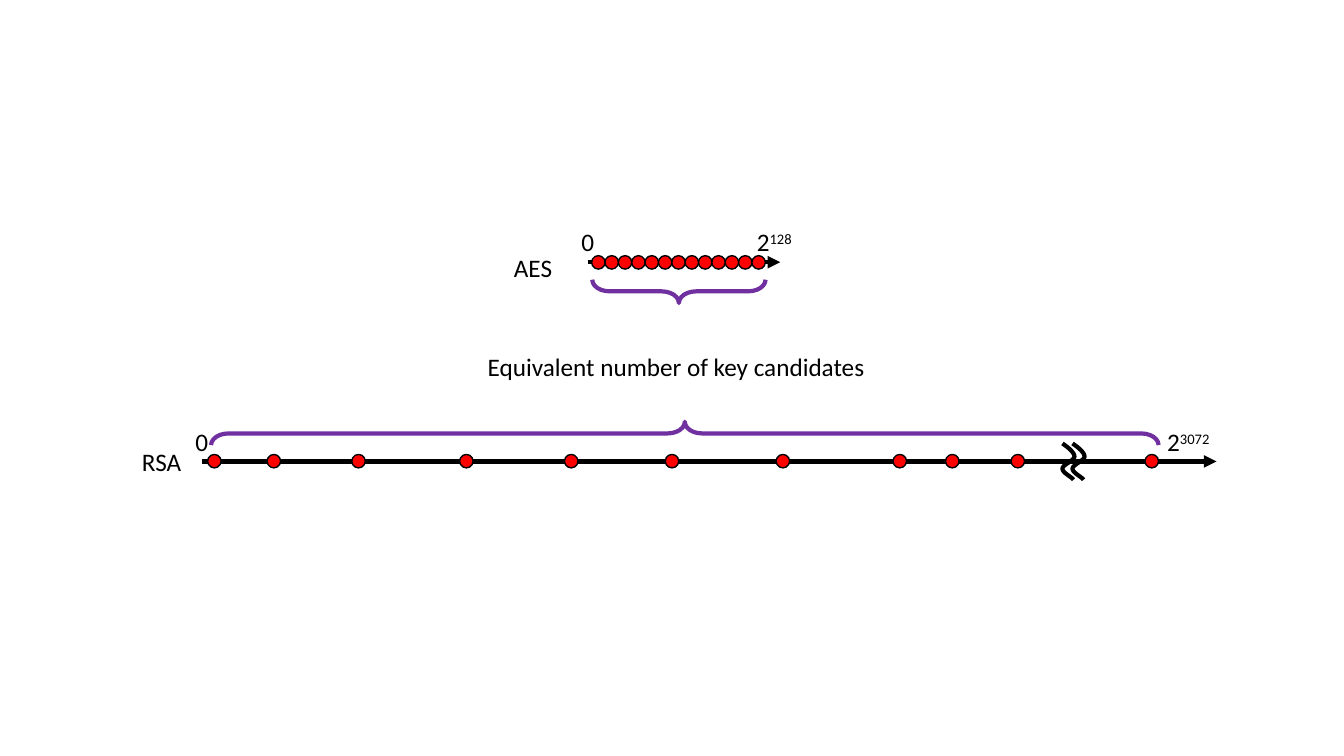
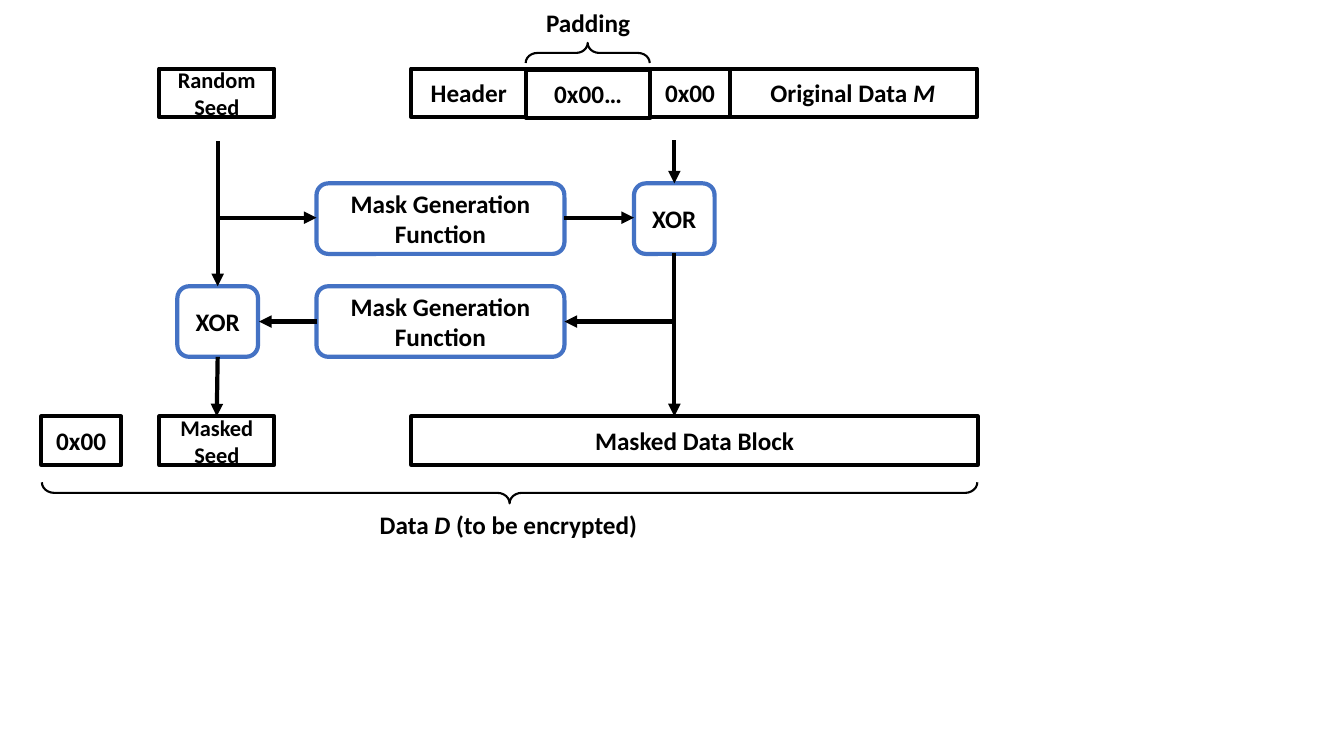
from pptx import Presentation
from pptx.dml.color import RGBColor
from pptx.enum.shapes import MSO_CONNECTOR, MSO_SHAPE as PRESET
from pptx.enum.text import MSO_ANCHOR as ANCHOR, PP_ALIGN as ALIGN
from pptx.oxml.ns import qn
from pptx.util import Pt
from lxml.etree import SubElement

COLORS = {"ink": "000000", "paper": "FFFFFF", "dot": "FF0000",
          "brace": "7030A0", "step": "4472C4"}
FONT = "Calibri"


def add_item(page, preset, left, top, width, height, lines=(), fill=None, line="ink",
             weight=3, size=18, bold=False, turn=0, curl=0.5):
    """Add a shape, or a text box if preset is None. Lines are lists of (text, style).

    The frame is the visible one, also for a shape turned by a quarter.
    """
    if turn:
        shift = (width - height) / 2
        left, top, width, height = left + shift, top - shift, height, width
    frame = Pt(left), Pt(top), Pt(width), Pt(height)
    if preset is None:
        item = page.shapes.add_textbox(*frame)
    else:
        item = page.shapes.add_shape(preset, *frame)
        item.shadow.inherit = False
        item.rotation = turn
        item.line.color.rgb = RGBColor.from_string(COLORS[line])
        item.line.width = Pt(weight)
        if fill:
            item.fill.solid()
            item.fill.fore_color.rgb = RGBColor.from_string(COLORS[fill])
        else:
            item.fill.background()
        if preset == PRESET.RIGHT_BRACE:
            item.adjustments[0] = curl
        item.text_frame.vertical_anchor = ANCHOR.MIDDLE
    frame = item.text_frame
    frame.word_wrap = preset is not None
    for index, runs in enumerate(lines):
        para = frame.add_paragraph() if index else frame.paragraphs[0]
        para.alignment = ALIGN.CENTER if preset else ALIGN.LEFT
        for text, style in runs:
            span = para.add_run()
            span.text = text
            span.font.name = FONT
            span.font.size = Pt(size)
            span.font.bold = bold
            span.font.color.rgb = RGBColor.from_string(COLORS["ink"])
            if style == "italic":
                span.font.italic = True
            elif style == "super":
                span.font._element.set("baseline", "30000")


def add_arrow(page, x1, y1, x2, y2):
    arrow = page.shapes.add_connector(MSO_CONNECTOR.STRAIGHT, Pt(x1), Pt(y1), Pt(x2), Pt(y2))
    arrow.line.color.rgb = RGBColor.from_string(COLORS["ink"])
    arrow.line.width = Pt(3)
    SubElement(arrow.line._get_or_add_ln(), qn("a:tailEnd"), type="triangle")
    SubElement(arrow._element.spPr, qn("a:effectLst"))


deck = Presentation()
deck.slide_width, deck.slide_height = Pt(960), Pt(540)
blank = deck.slide_layouts[6]

# Slide 1: key candidates on two number lines
page = deck.slides.add_slide(blank)
add_arrow(page, 419.8, 187.3, 557.3, 187.3)
add_arrow(page, 144, 329.6, 869, 329.6)

# Labels
for left, top, width, runs in [
    (408.2, 158.4, 23.8, [("0", "")]),
    (533.5, 158.4, 42.5, [("2", ""), ("128", "super")]),
    (132.5, 301.2, 23.8, [("0", "")]),
    (826.6, 301.2, 48.2, [("2", ""), ("3072", "super")]),
    (341.3, 247.7, 286.6, [("Equivalent number of key candidates", "")]),
    (360, 176.4, 41.8, [("AES", "")]),
    (94.3, 315.4, 42.5, [("RSA", "")]),
]:
    add_item(page, None, left, top, width, 29, [runs])

# Break marks: two wavy strokes made of cubic curves
wave = [((0, 0), (4.3, 2.9), (8.6, 6.5), (8.6, 9.4)),
        ((8.6, 9.4), (8.6, 12.2), (0, 15.1), (0, 18)),
        ((0, 18), (0, 20.9), (6.5, 23.8), (7.9, 25.9))]
steps = 10
for left in (758.9, 766.1):
    points = []
    for curve in wave:
        for step in range(1, steps + 1):
            t = step / steps
            weights = ((1 - t) ** 3, 3 * t * (1 - t) ** 2, 3 * t * t * (1 - t), t ** 3)
            x, y = (sum(w * p[axis] for w, p in zip(weights, curve)) for axis in (0, 1))
            points.append((Pt(left + x), Pt(316.8 + y)))
    outline = page.shapes.build_freeform(Pt(left), Pt(316.8))
    outline.add_line_segments(points, close=False)
    stroke = outline.convert_to_shape()
    stroke.shadow.inherit = False
    stroke.fill.background()
    stroke.line.color.rgb = RGBColor.from_string(COLORS["ink"])
    stroke.line.width = Pt(3)

# Dots: dense and even for AES, sparse and uneven for RSA
aes_dots = [422.6 + 9.54 * index for index in range(13)]
rsa_dots = [148.3, 190.8, 251.3, 328.3, 403.2, 475.2, 554.4, 637.9, 675.4, 722.2, 817.9]
for top, lefts in ((182.6, aes_dots), (324.6, rsa_dots)):
    for left in lefts:
        add_item(page, PRESET.OVAL, left, top, 9.6, 9.6, fill="dot", weight=1)

# Braces
for left, top, width, turn in ((423, 199.8, 123.8, 90), (150.8, 301.3, 676.8, 270)):
    add_item(page, PRESET.RIGHT_BRACE, left, top, width, 16.6, line="brace",
             turn=turn, curl=0.748)

# Slide 2: padding scheme
page = deck.slides.add_slide(blank)
top_row, bottom_row = 49, 297.4
upper_step, lower_step = 131, 204.5
seed_axis, data_axis = 155.5, 481.7
upper_axis, lower_axis = 155.5, 229.7

# Data cells
for left, top, width, size, lines in [
    (520.6, top_row, 177.1, 18, [[("Original Data ", ""), ("M", "italic")]]),
    (464.4, top_row, 56.9, 18, [[("0x00", "")]]),
    (375.8, top_row + 0.7, 88.6, 18, [[("0x00…", "")]]),
    (293.8, top_row, 82.1, 18, [[("Header", "")]]),
    (113.8, top_row, 82.1, 16, [[("Random", "")], [("Seed", "")]]),
    (29.5, bottom_row, 56.9, 18, [[("0x00", "")]]),
    (113.8, bottom_row, 82.1, 16, [[("Masked", "")], [("Seed", "")]]),
    (293.8, bottom_row, 404.6, 18, [[("Masked Data Block", "")]]),
]:
    add_item(page, PRESET.RECTANGLE, left, top, width, 34.6, lines,
             fill="paper", size=size, bold=True)

# Processing steps
for left, top, width, text in [
    (226.1, upper_step, 177.1, "Mask Generation Function"),
    (452.9, upper_step, 57.6, "XOR"),
    (126.7, lower_step, 57.6, "XOR"),
    (226.1, lower_step, 177.1, "Mask Generation Function"),
]:
    add_item(page, PRESET.ROUNDED_RECTANGLE, left, top, width, 50.4, [[(text, "")]],
             fill="paper", line="step", bold=True)

# Data flow
for ends in [
    (seed_axis, 100.8, seed_axis, lower_step),
    (data_axis, 100.1, data_axis, upper_step),
    (403.2, upper_axis, 452.9, upper_axis),
    (seed_axis, upper_axis, 226.1, upper_axis),
    (226.1, lower_axis, 185, lower_axis),
    (data_axis, 181, data_axis, bottom_row),
    (data_axis, lower_axis, 403.2, lower_axis),
    (seed_axis, 254.9, seed_axis - 0.7, bottom_row),
]:
    add_arrow(page, *ends)

# Braces and their labels
for left, top, width, height, turn in ((375.5, 30.6, 88.6, 14.4, 270),
                                       (29.9, 344.5, 668.2, 15.1, 90)):
    add_item(page, PRESET.RIGHT_BRACE, left, top, width, height, weight=1.5,
             turn=turn, curl=0.578)
for left, top, width, runs in [
    (383, 1.4, 74.9, [("Padding", "")]),
    (264.2, 360, 198.7, [("Data ", ""), ("D ", "italic"), ("(to be encrypted)", "")]),
]:
    add_item(page, None, left, top, width, 29, [runs], bold=True)

deck.save("out.pptx")
